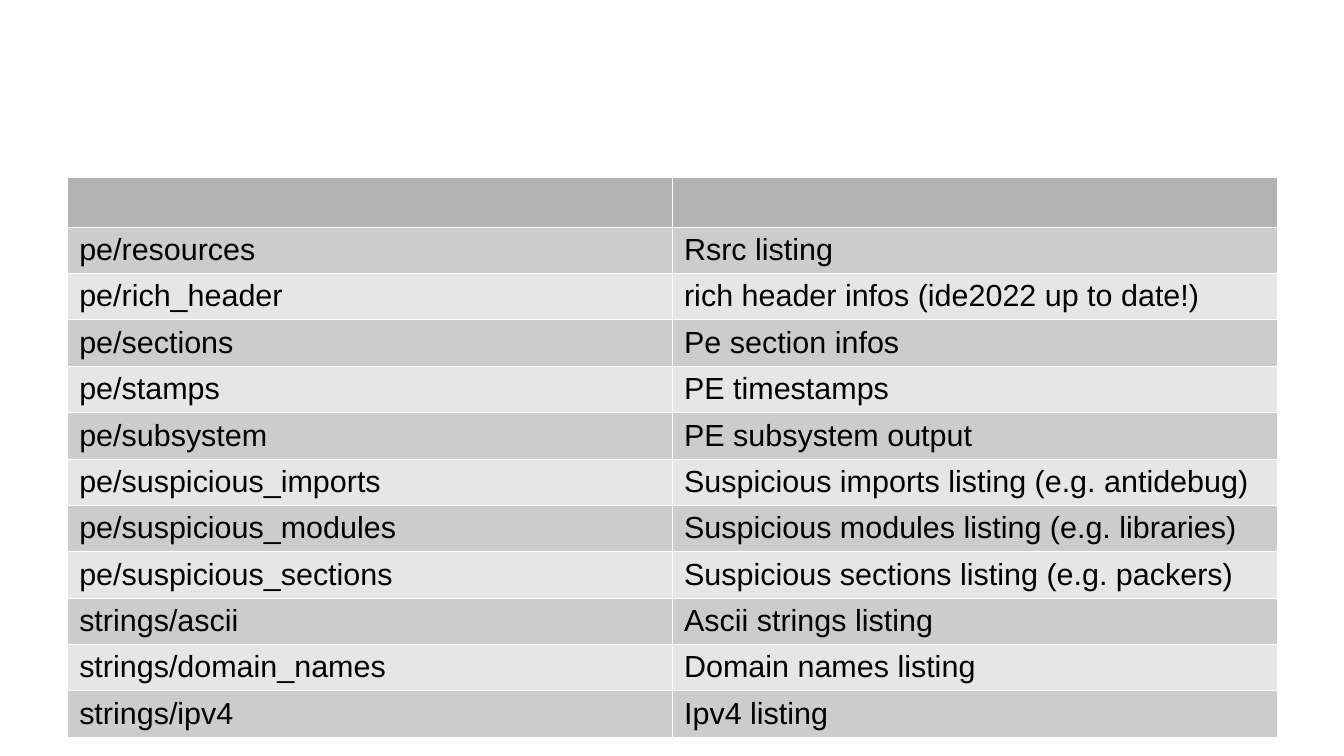
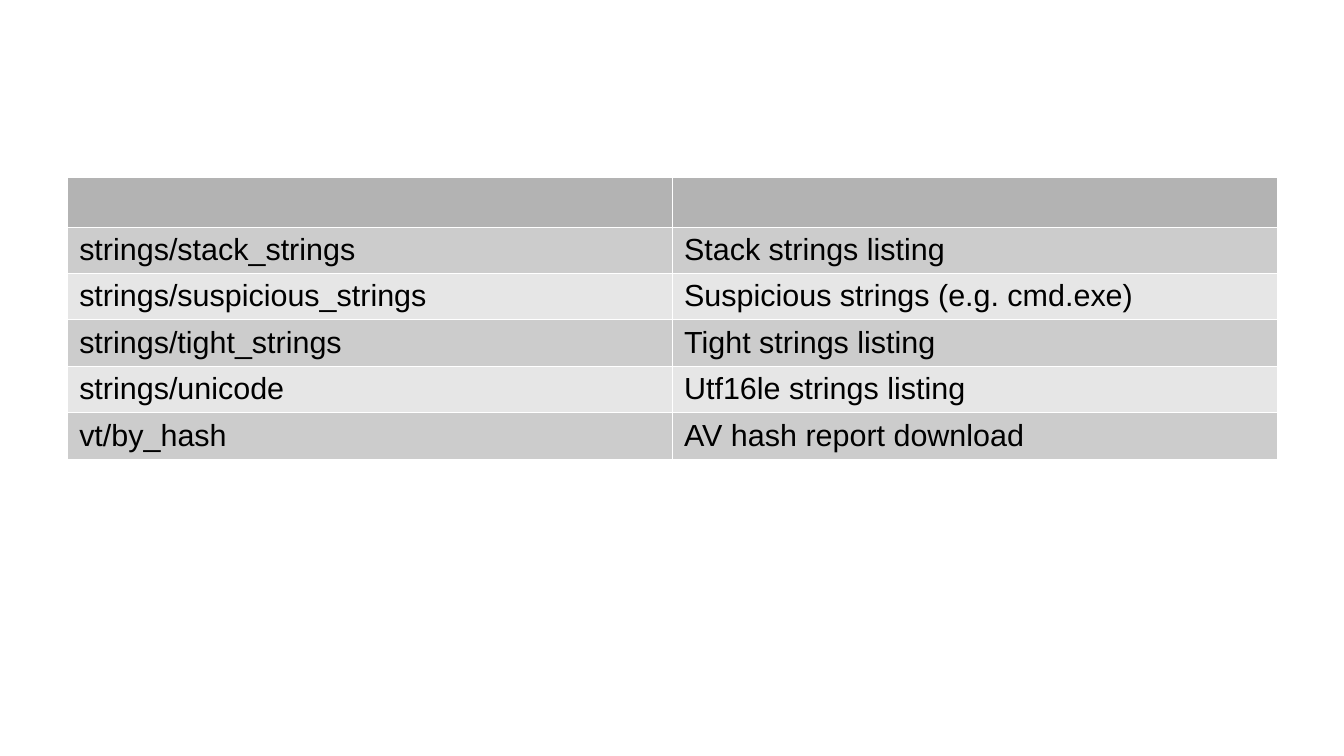
from lxml.etree import SubElement
from pptx import Presentation
from pptx.dml.color import RGBColor
from pptx.oxml.ns import qn
from pptx.util import Pt

SLIDE_SIZE = (793.44, 446.4)
TABLE_LEFT, TABLE_TOP = 39.6, 104.7
COLUMN_WIDTH, ROW_HEIGHT = 357.1, 27.36
BORDER_WIDTH = 0.06
BORDER_COLOR, TEXT_COLOR = "FFFFFF", "000000"
HEADER_FILL = "B3B3B3"
BAND_FILLS = ("CCCCCC", "E6E6E6")
CELL_FONT = {"name": "Arial", "size": Pt(18), "bold": False}
TABLE_FLAGS = {"first_row": False, "horz_banding": False}

PE_AND_STRINGS_MODULES = [
    ("pe/resources", "Rsrc listing"),
    ("pe/rich_header", "rich header infos (ide2022 up to date!)"),
    ("pe/sections", "Pe section infos"),
    ("pe/stamps", "PE timestamps"),
    ("pe/subsystem", "PE subsystem output"),
    ("pe/suspicious_imports", "Suspicious imports listing (e.g. antidebug)"),
    ("pe/suspicious_modules", "Suspicious modules listing (e.g. libraries)"),
    ("pe/suspicious_sections", "Suspicious sections listing (e.g. packers)"),
    ("strings/ascii", "Ascii strings listing"),
    ("strings/domain_names", "Domain names listing"),
    ("strings/ipv4", "Ipv4 listing"),
]
STRINGS_AND_HASH_MODULES = [
    ("strings/stack_strings", "Stack strings listing"),
    ("strings/suspicious_strings", "Suspicious strings (e.g. cmd.exe)"),
    ("strings/tight_strings", "Tight strings listing"),
    ("strings/unicode", "Utf16le strings listing"),
    ("vt/by_hash", "AV hash report download"),
]


def color(value):
    """Turn a hex string into a colour."""
    return RGBColor.from_string(value)


def set_attributes(target, values):
    """Set each named value on the target."""
    for name, value in values.items():
        setattr(target, name, value)


def add_borders(cell):
    """Draw a thin line on all four sides of a cell."""
    properties = cell._tc.get_or_add_tcPr()
    for side in ("a:lnL", "a:lnR", "a:lnT", "a:lnB"):
        line = SubElement(properties, qn(side), w=str(Pt(BORDER_WIDTH)))
        fill = SubElement(line, qn("a:solidFill"))
        SubElement(fill, qn("a:srgbClr"), val=BORDER_COLOR)


def format_cell(cell, fill):
    """Give a cell its borders and fill."""
    add_borders(cell)
    cell.fill.solid()
    cell.fill.fore_color.rgb = color(fill)


def write_cell(cell, text):
    """Write one run of table text."""
    run = cell.text_frame.paragraphs[0].add_run()
    run.text = text
    set_attributes(run.font, CELL_FONT)
    run.font.color.rgb = color(TEXT_COLOR)


def row_fill(index):
    """Choose the header fill or the alternating band fill."""
    return BAND_FILLS[(index - 1) % 2] if index else HEADER_FILL


def add_module_table(slide, modules):
    """Add a table of modules below an empty header row."""
    rows = [("", ""), *modules]
    table = slide.shapes.add_table(
        len(rows), 2, Pt(TABLE_LEFT), Pt(TABLE_TOP),
        Pt(2 * COLUMN_WIDTH), Pt(len(rows) * ROW_HEIGHT),
    ).table
    set_attributes(table, TABLE_FLAGS)
    for column in table.columns:
        column.width = Pt(COLUMN_WIDTH)
    for row_index, texts in enumerate(rows):
        table.rows[row_index].height = Pt(ROW_HEIGHT)
        for column_index, text in enumerate(texts):
            cell = table.cell(row_index, column_index)
            format_cell(cell, row_fill(row_index))
            if text:
                write_cell(cell, text)


def main():
    """Build and save the presentation."""
    presentation = Presentation()
    presentation.slide_width, presentation.slide_height = map(Pt, SLIDE_SIZE)
    for modules in (PE_AND_STRINGS_MODULES, STRINGS_AND_HASH_MODULES):
        slide = presentation.slides.add_slide(presentation.slide_layouts[6])
        add_module_table(slide, modules)
    presentation.save("out.pptx")


if __name__ == "__main__":
    main()
